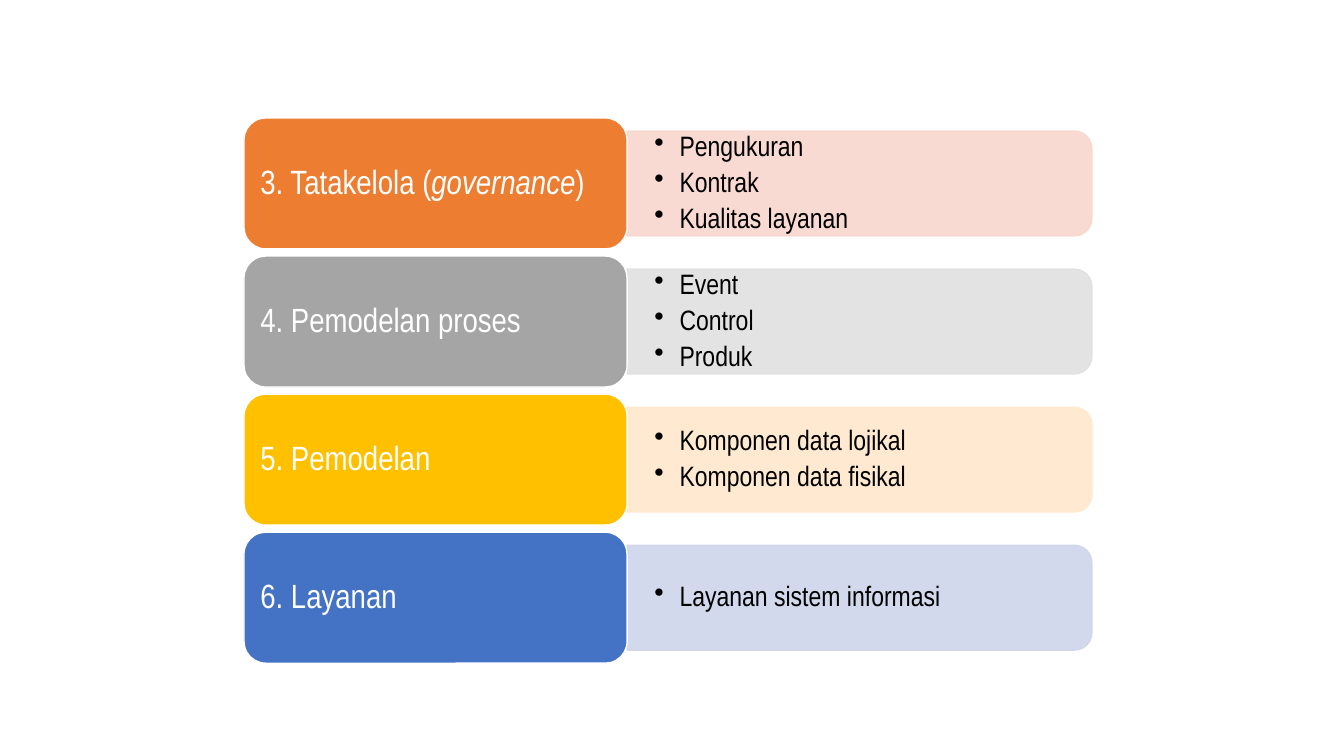
from lxml.etree import SubElement
from pptx import Presentation
from pptx.dml.color import RGBColor
from pptx.enum.shapes import MSO_SHAPE as SHAPE
from pptx.enum.text import MSO_ANCHOR as ANCHOR, PP_ALIGN as ALIGN
from pptx.oxml.ns import qn
from pptx.util import Inches, Pt

FONT = "Arial Narrow"
WHITE = RGBColor(0xFF, 0xFF, 0xFF)
BLACK = RGBColor(0x00, 0x00, 0x00)
ORANGE, PALE_ORANGE = RGBColor(0xED, 0x7D, 0x31), RGBColor(0xF8, 0xD7, 0xCE)
GRAY, PALE_GRAY = RGBColor(0xA5, 0xA5, 0xA5), RGBColor(0xE1, 0xE1, 0xE1)
GOLD, PALE_GOLD = RGBColor(0xFF, 0xC0, 0x00), RGBColor(0xFF, 0xE8, 0xCC)
BLUE, PALE_BLUE = RGBColor(0x44, 0x72, 0xC4), RGBColor(0xCF, 0xD5, 0xEA)

LIST_LEFT, LIST_TOP, LIST_WIDTH = 2.42, 1.17, 8.41
ROW_HEIGHT, ROW_PITCH = 1.3, 1.37
TOPIC_WIDTH = 3.8
PANEL_SHARE = 0.8

TOPICS = [
    ([("3. Tatakelola (", False), ("governance", True), (")", False)],
     ["Pengukuran", "Kontrak", "Kualitas layanan"], ORANGE, PALE_ORANGE),
    ([("4. Pemodelan proses", False)],
     ["Event", "Control", "Produk"], GRAY, PALE_GRAY),
    ([("5. Pemodelan", False)],
     ["Komponen data lojikal", "Komponen data fisikal"], GOLD, PALE_GOLD),
    ([("6. Layanan", False)],
     ["Layanan sistem informasi"], BLUE, PALE_BLUE),
]


def paint(shape, fill, line):
    shape.shadow.inherit = False
    shape.fill.solid()
    shape.fill.fore_color.rgb = fill
    shape.line.color.rgb = line
    shape.line.width = Pt(1)


def style(paragraph, size, color):
    paragraph.alignment = ALIGN.LEFT
    paragraph.line_spacing = 0.9
    paragraph.font.name = FONT
    paragraph.font.size = Pt(size)
    paragraph.font.color.rgb = color


def add_bullet(paragraph):
    properties = paragraph._p.get_or_add_pPr()
    properties.set("marL", str(Inches(0.25)))
    properties.set("indent", str(-Inches(0.25)))
    SubElement(properties, qn("a:buChar"), char="•")


def add_panel(slide, left, top, width, height, color):
    panel = slide.shapes.add_shape(
        SHAPE.ROUND_2_SAME_RECTANGLE,
        Inches(left + (width - height) / 2), Inches(top + (height - width) / 2),
        Inches(height), Inches(width))
    panel.rotation = 90
    paint(panel, color, color)
    for shade in panel._element.spPr.iter(qn("a:srgbClr")):
        SubElement(shade, qn("a:alpha"), val="90000")


def add_details(slide, left, top, width, height, details):
    frame = slide.shapes.add_textbox(
        Inches(left), Inches(top), Inches(width), Inches(height)).text_frame
    frame.word_wrap = True
    frame.vertical_anchor = ANCHOR.MIDDLE
    frame.margin_left = frame.margin_right = Inches(0.27)
    frame.margin_top = frame.margin_bottom = Inches(0.14)
    for index, detail in enumerate(details):
        paragraph = frame.add_paragraph() if index else frame.paragraphs[0]
        paragraph.text = detail
        paragraph.level = 1
        add_bullet(paragraph)
        paragraph.space_after = Pt(4)
        style(paragraph, 20, BLACK)


def add_topic(slide, left, top, width, height, title, color):
    topic = slide.shapes.add_shape(
        SHAPE.ROUNDED_RECTANGLE,
        Inches(left), Inches(top), Inches(width), Inches(height))
    paint(topic, color, WHITE)
    frame = topic.text_frame
    frame.word_wrap = True
    frame.vertical_anchor = ANCHOR.MIDDLE
    paragraph = frame.paragraphs[0]
    style(paragraph, 24, WHITE)
    for text, italic in title:
        run = paragraph.add_run()
        run.text = text
        if italic:
            run.font.italic = True


def add_row(slide, left, top, width, height, topic):
    title, details, color, pale = topic
    panel_left, panel_width = left + TOPIC_WIDTH, width - TOPIC_WIDTH
    panel_height = height * PANEL_SHARE
    panel_top = top + (height - panel_height) / 2
    add_panel(slide, panel_left, panel_top, panel_width, panel_height, pale)
    add_details(slide, panel_left, panel_top + 0.05, panel_width - 0.05,
                panel_height - 0.1, details)
    add_topic(slide, left, top, TOPIC_WIDTH, height, title, color)


def main():
    deck = Presentation()
    deck.slide_width, deck.slide_height = Inches(13.33), Inches(7.5)
    slide = deck.slides.add_slide(deck.slide_layouts[6])
    for index, topic in enumerate(TOPICS):
        add_row(slide, LIST_LEFT, LIST_TOP + index * ROW_PITCH,
                LIST_WIDTH, ROW_HEIGHT, topic)
    deck.save("out.pptx")


if __name__ == "__main__":
    main()
